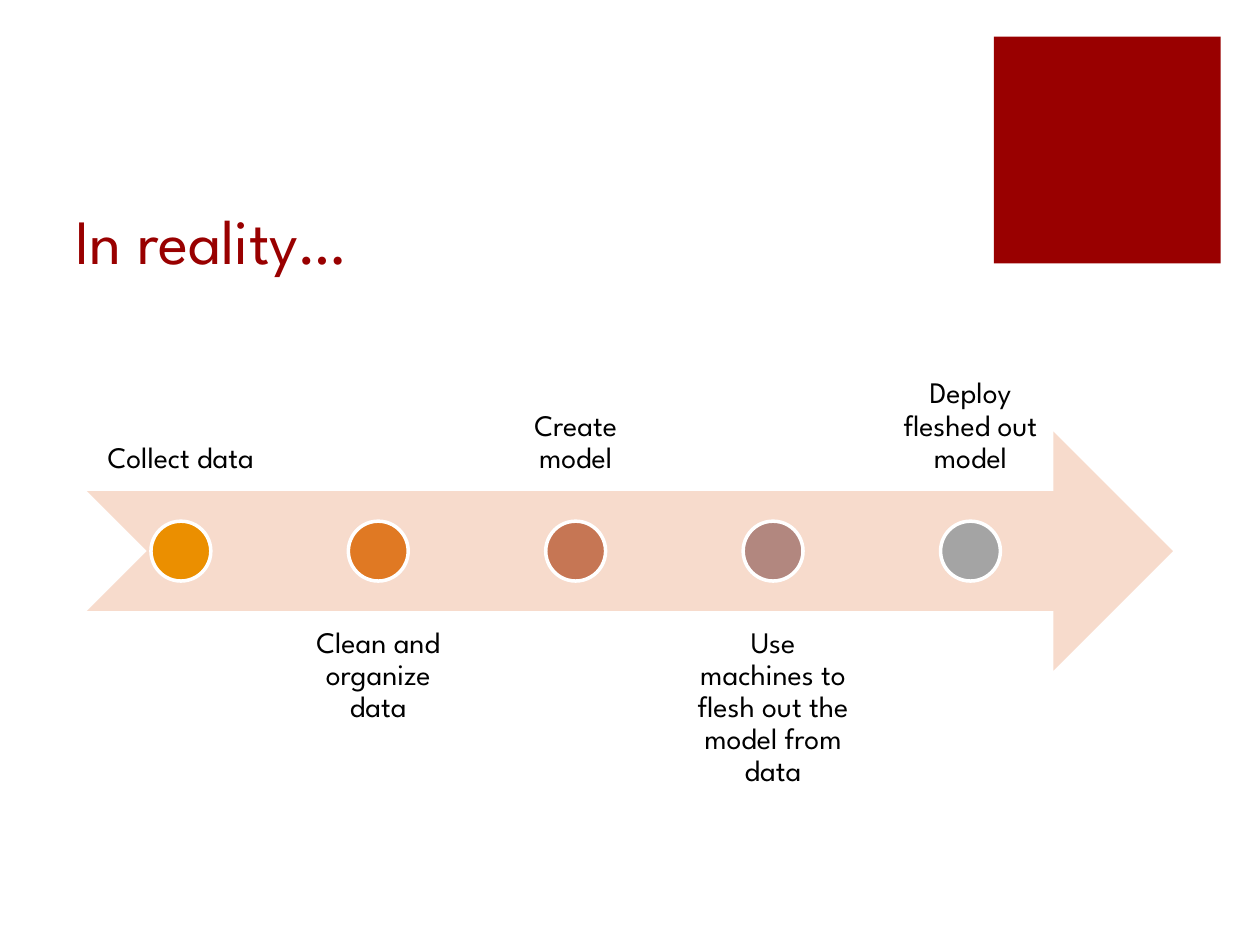
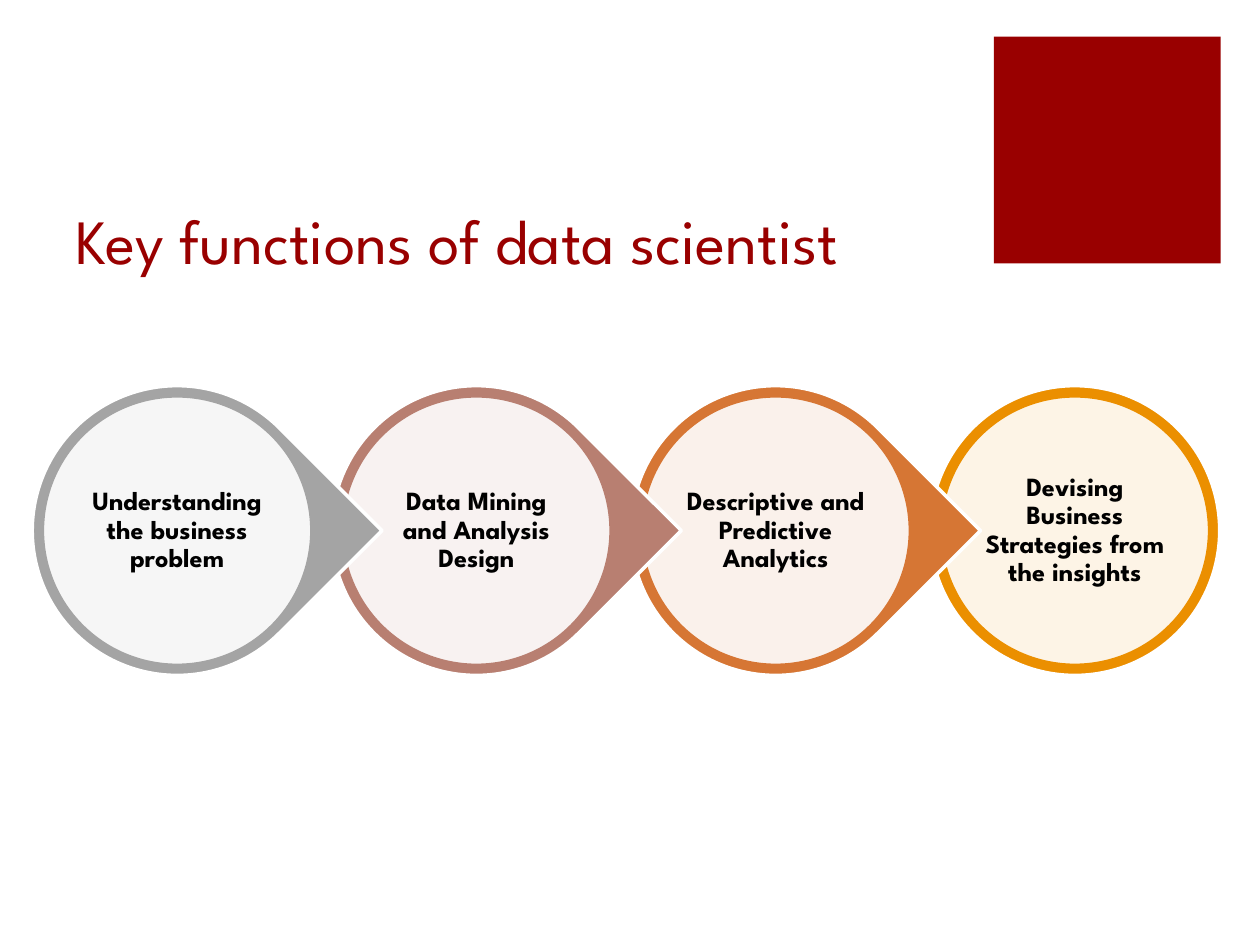
import pptx
import pptx.util
import pptx.dml.color
import pptx.enum.shapes
import pptx.enum.text
import pptx.oxml
import pptx.oxml.ns
from lxml import etree

Pt = pptx.util.Pt
Shape = pptx.enum.shapes.MSO_SHAPE
Align = pptx.enum.text.PP_ALIGN
Anchor = pptx.enum.text.MSO_ANCHOR
rgb = pptx.dml.color.RGBColor.from_string

theme = {
    "red": rgb("990000"),
    "white": rgb("FFFFFF"),
    "arrow": rgb("F7DBCC"),
    "title": {"name": "League Spartan", "size": Pt(36), "bold": False},
    "step": {"name": "League Spartan", "size": Pt(17), "bold": False},
    "function": {"name": "League Spartan", "size": Pt(15), "bold": True},
    "text": rgb("000000"),
    "outline": Pt(2),
}


def add_figure(page, kind, left, top, width, height, fill, line=None):
    figure = page.shapes.add_shape(kind, Pt(left), Pt(top), Pt(width), Pt(height))
    figure.shadow.inherit = False
    figure.fill.solid()
    figure.fill.fore_color.rgb = fill
    if line is None:
        figure.line.fill.background()
    else:
        figure.line.color.rgb = line
        figure.line.width = theme["outline"]
    return figure


def write_text(box, text, style, color, align, anchor, inset=None, spacing=None):
    frame = box.text_frame
    frame.word_wrap = True
    frame.auto_size = pptx.enum.text.MSO_AUTO_SIZE.NONE
    frame.vertical_anchor = anchor
    if inset is not None:
        for side in ("left", "top", "right", "bottom"):
            setattr(frame, f"margin_{side}", Pt(inset))
    para = frame.paragraphs[0]
    para.alignment = align
    para.line_spacing = spacing
    span = para.add_run()
    span.text = text
    for name, value in theme[style].items():
        setattr(span.font, name, value)
    span.font.color.rgb = color


deck = pptx.Presentation()
deck.slide_width, deck.slide_height = Pt(720), Pt(540)
layout = deck.slide_layouts[5]

# Pages with their titles
pages = []
for heading in ("In reality…", "Key functions of data scientist"):
    page = deck.slides.add_slide(layout)
    title = page.shapes.title
    title.left, title.top, title.width, title.height = Pt(36), Pt(72), Pt(512.6), Pt(90)
    write_text(title, heading, "title", theme["red"], Align.LEFT, Anchor.BOTTOM)
    pages.append(page)
timeline_page, functions_page = pages

# Red square, moved to the layout so that both pages share it
square = add_figure(timeline_page, Shape.RECTANGLE, 568, 21, 129.6, 129.6, theme["red"])
layout.shapes.element.append(square.element)

# Timeline: steps alternate above and below the arrow
steps = [
    ("Collect data", "EB8F00"),
    ("Clean and organize data", "E07923"),
    ("Create model", "C67654"),
    ("Use machines to flesh out the model from data", "B2877F"),
    ("Deploy fleshed out model", "A4A4A4"),
]
arrow_left, arrow_top, arrow_height = 49.7, 246.5, 136.8
step_pitch, step_width, dot_size = 112.8, 107.3, 34.2
add_figure(timeline_page, Shape.NOTCHED_RIGHT_ARROW,
           arrow_left, arrow_top, 620.6, arrow_height, theme["arrow"])
for index, (step, color) in enumerate(steps):
    left = arrow_left + index * step_pitch
    above = index % 2 == 0
    label = timeline_page.shapes.add_textbox(
        Pt(left), Pt(144 if above else 349.2), Pt(step_width), Pt(arrow_height))
    write_text(label, step, "step", theme["text"], Align.CENTER,
               Anchor.BOTTOM if above else Anchor.TOP, inset=9.5, spacing=0.9)
    add_figure(timeline_page, Shape.OVAL, left + (step_width - dot_size) / 2,
               arrow_top + (arrow_height - dot_size) / 2,
               dot_size, dot_size, rgb(color), theme["white"])

# Key functions: each drop overlaps the next, so the last is drawn first
functions = [
    ("Understanding the business problem", "A4A4A4"),
    ("Data Mining and Analysis Design", "B87F71"),
    ("Descriptive and Predictive Analytics", "D67634"),
    ("Devising Business Strategies from the insights", "EB8F00"),
]
center_left, center_y, function_pitch = 101.2, 303.2, 171
drop_size, disc_size, label_size = 165.6, 154, 110
for index, (function, color) in reversed(list(enumerate(functions))):
    center_x = center_left + index * function_pitch
    is_last = index == len(functions) - 1
    drop = add_figure(functions_page, Shape.OVAL if is_last else Shape.TEAR,
                      center_x - drop_size / 2, center_y - drop_size / 2,
                      drop_size, drop_size, rgb(color), theme["white"])
    drop.rotation = 0 if is_last else 45
    disc = add_figure(functions_page, Shape.OVAL,
                      center_x - disc_size / 2, center_y - disc_size / 2,
                      disc_size, disc_size, theme["white"], rgb(color))
    white = disc.element.spPr.find(pptx.oxml.ns.qn("a:solidFill"))[0]
    etree.SubElement(white, pptx.oxml.ns.qn("a:alpha"), val="90000")
    label = functions_page.shapes.add_textbox(
        Pt(center_x - label_size / 2), Pt(center_y - label_size / 2),
        Pt(label_size), Pt(label_size))
    write_text(label, function, "function", theme["text"], Align.CENTER,
               Anchor.MIDDLE, inset=1.5, spacing=0.9)

deck.save("out.pptx")
